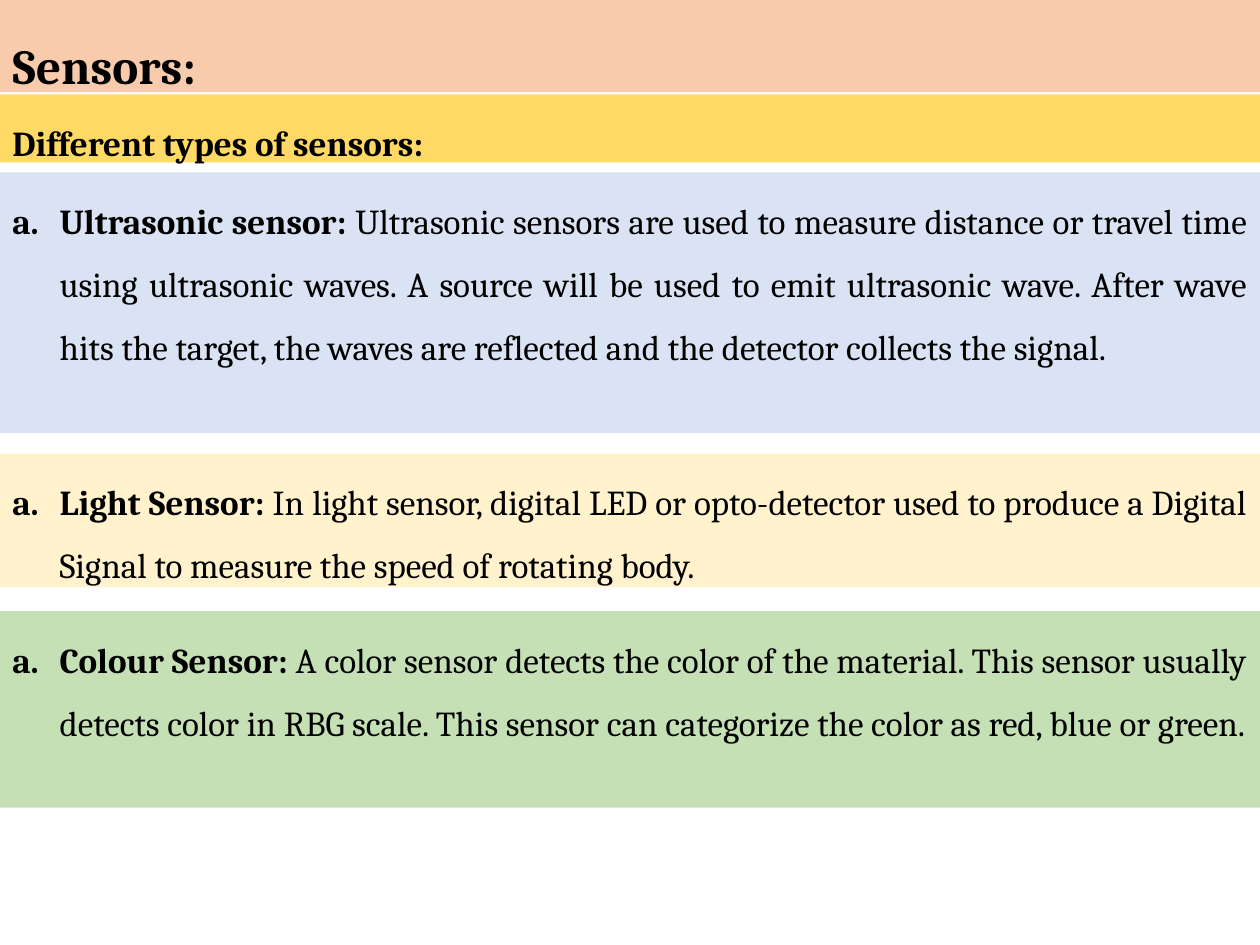
from dataclasses import dataclass

from lxml import etree
from pptx import Presentation
from pptx import util as u
from pptx.dml.color import RGBColor
from pptx.enum import text as t
from pptx.oxml.ns import qn


@dataclass(frozen=True)
class Theme:
    font: str = "Cambria"
    ink: str = "000000"
    title_size: int = 28
    body_size: int = 20
    peach: str = "F8CBAD"
    gold: str = "FFD966"
    blue: str = "DAE3F3"
    cream: str = "FFF2CC"
    green: str = "C5E0B4"
    line_spacing: float = 1.5
    space_after: int = 10
    indent: int = 27


@dataclass(frozen=True)
class Band:
    """A full-width coloured strip; top and height are in points."""
    top: float
    height: float
    fill: str
    heading: str
    detail: str = ""


THEME = Theme()
SLIDE_WIDTH, SLIDE_HEIGHT = 720, 540

TITLE = Band(0, 52.6, THEME.peach, "Sensors:")
SUBTITLE = Band(54, 38.9, THEME.gold, "Different types of sensors:")
SENSORS = [
    Band(98.6, 149, THEME.blue, "Ultrasonic sensor:",
         "Ultrasonic sensors are used to measure distance or travel time using "
         "ultrasonic waves. A source will be used to emit ultrasonic wave. After "
         "wave hits the target, the waves are reflected and the detector collects "
         "the signal."),
    Band(259.2, 76.3, THEME.cream, "Light Sensor:",
         "In light sensor, digital LED or opto-detector used to produce a Digital "
         "Signal to measure the speed of rotating body."),
    Band(349.2, 112.3, THEME.green, "Colour Sensor:",
         "A color sensor detects the color of the material. This sensor usually "
         "detects color in RBG scale. This sensor can categorize the color as red, "
         "blue or green."),
]


def apply_format(target, values: dict) -> None:
    for name, value in values.items():
        setattr(target, name, value)


def add_run(paragraph, content: str, size: int, bold: bool) -> None:
    run = paragraph.add_run()
    run.text = content
    apply_format(run.font, {"name": THEME.font, "size": u.Pt(size), "bold": bold})
    run.font.color.rgb = RGBColor.from_string(THEME.ink)


def add_letter(paragraph) -> None:
    """Give the paragraph a hanging automatic letter: a."""
    properties = paragraph._p.get_or_add_pPr()
    indent = u.Pt(THEME.indent)
    properties.set("marL", str(indent))
    properties.set("indent", str(-indent))
    colour = etree.SubElement(properties, qn("a:buClr"))
    etree.SubElement(colour, qn("a:srgbClr"), val=THEME.ink)
    etree.SubElement(properties, qn("a:buFont"), typeface="+mj-lt")
    etree.SubElement(properties, qn("a:buAutoNum"), type="alphaLcPeriod")


def format_band(shape, band: Band, size: int, alignment) -> None:
    apply_format(shape, {
        "left": u.Pt(0), "top": u.Pt(band.top),
        "width": u.Pt(SLIDE_WIDTH), "height": u.Pt(band.height),
    })
    shape.fill.solid()
    shape.fill.fore_color.rgb = RGBColor.from_string(band.fill)

    frame = shape.text_frame
    apply_format(frame, {
        "word_wrap": True,
        "auto_size": t.MSO_AUTO_SIZE.NONE,
        "vertical_anchor": t.MSO_ANCHOR.TOP,
        "margin_left": u.Pt(7.2), "margin_right": u.Pt(7.2),
        "margin_top": u.Pt(3.6), "margin_bottom": u.Pt(3.6),
    })
    paragraph = frame.paragraphs[0]
    apply_format(paragraph, {
        "alignment": alignment,
        "line_spacing": THEME.line_spacing,
        "space_before": u.Pt(0),
        "space_after": u.Pt(THEME.space_after),
    })
    if band.detail:
        add_letter(paragraph)
    add_run(paragraph, band.heading, size, True)
    if band.detail:
        add_run(paragraph, " " + band.detail, size, False)


def main() -> None:
    presentation = Presentation()
    apply_format(presentation, {
        "slide_width": u.Pt(SLIDE_WIDTH), "slide_height": u.Pt(SLIDE_HEIGHT),
    })
    slide = presentation.slides.add_slide(presentation.slide_layouts[5])

    # Title strip
    format_band(slide.shapes.title, TITLE, THEME.title_size, t.PP_ALIGN.LEFT)

    # Subtitle and one strip per sensor
    for band in [SUBTITLE, *SENSORS]:
        shape = slide.shapes.add_textbox(0, 0, 0, 0)
        format_band(shape, band, THEME.body_size, t.PP_ALIGN.JUSTIFY)

    presentation.save("out.pptx")


if __name__ == "__main__":
    main()
